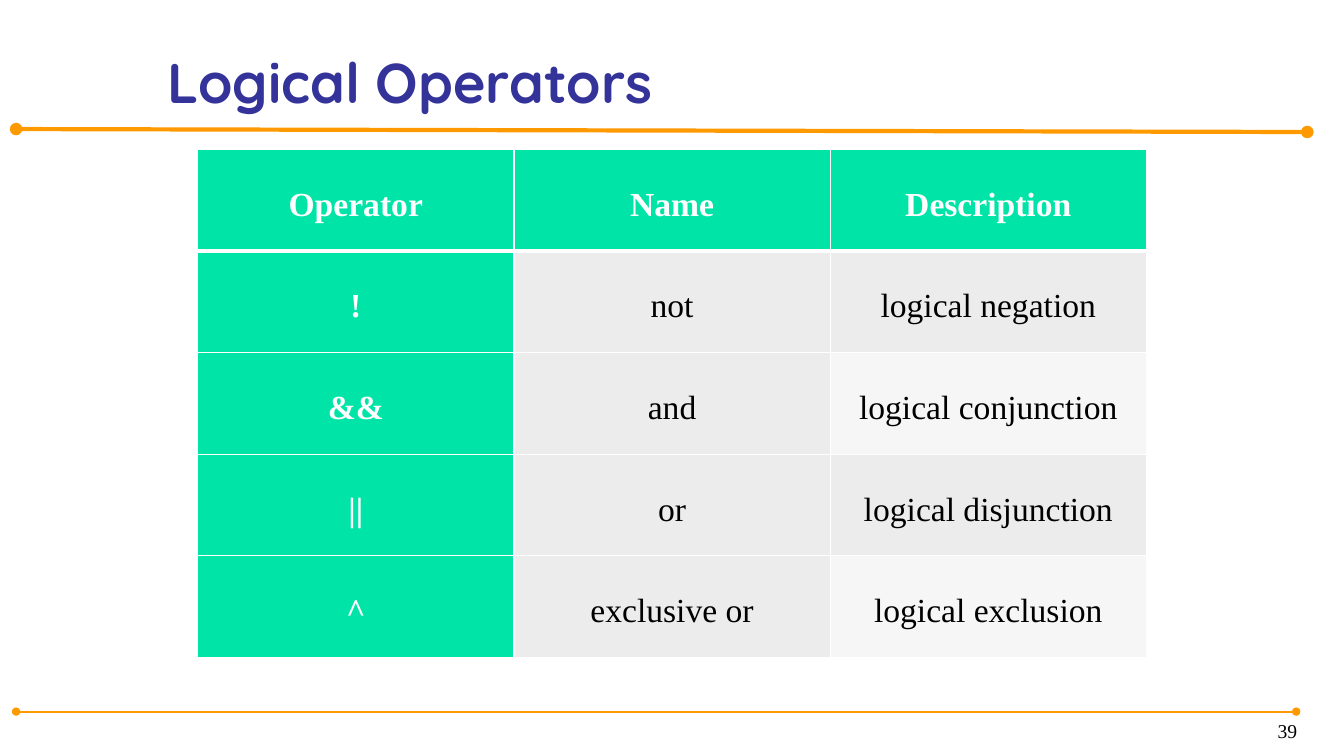
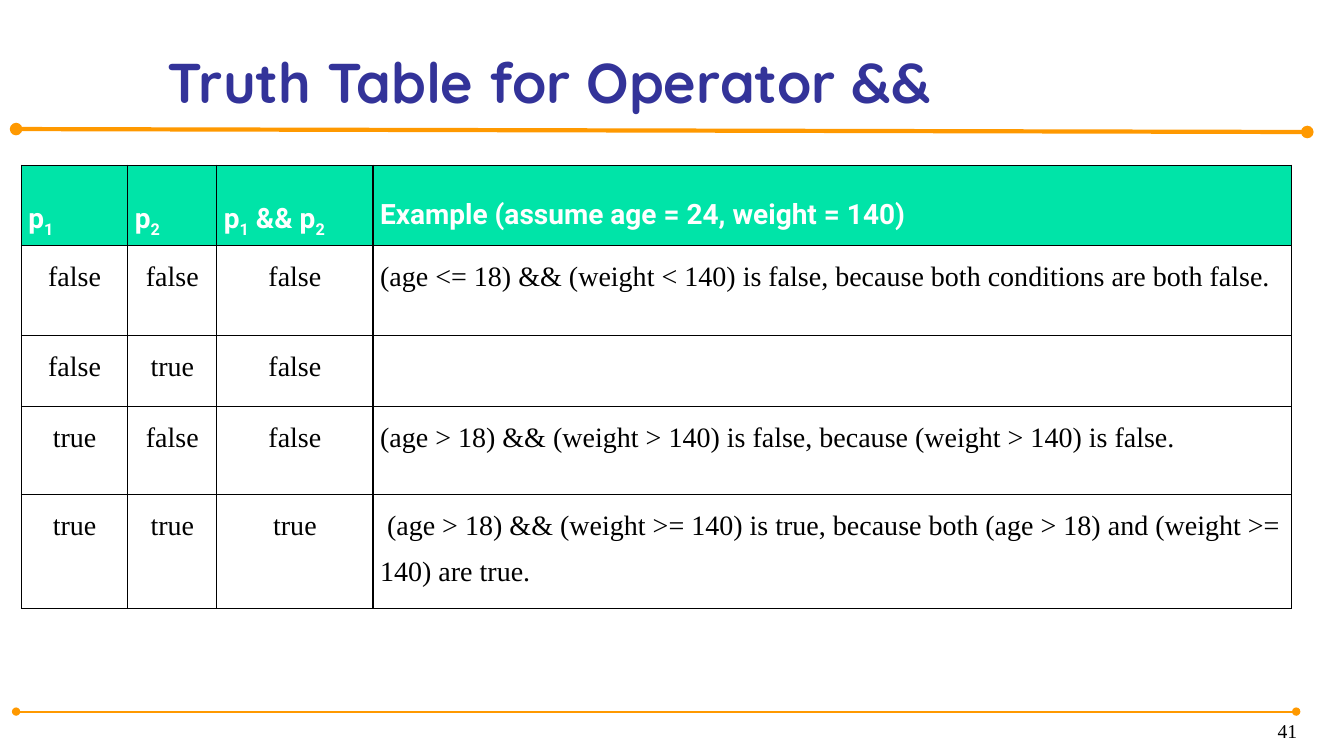
"""Builds two slides on logical operators, each with a title, two rules and a table."""
import dataclasses
import typing

import lxml.etree
import pptx
import pptx.dml.color
import pptx.enum.shapes
import pptx.enum.text
import pptx.oxml.ns
import pptx.util

Pt = pptx.util.Pt
Align = pptx.enum.text.PP_ALIGN
Text = typing.Union[str, typing.Tuple[str, ...]]

ORANGE, INDIGO, GREEN = "FF9900", "333399", "00E4A8"
WHITE, BLACK, GREY, PALE = "FFFFFF", "000000", "ECECEC", "F6F6F6"
TITLE_FONT, HEAD_FONT, SERIF = "Quicksand", "Roboto", "Times New Roman"


@dataclasses.dataclass(frozen=True)
class Style:
    font: str
    size: float
    color: str
    bold: bool = False
    align: Align = Align.LEFT
    spacing: float = 1.0


@dataclasses.dataclass(frozen=True)
class Rule:
    x1: float
    y1: float
    x2: float
    y2: float
    width: float


@dataclasses.dataclass(frozen=True)
class Grid:
    left: float
    top: float
    cols: typing.Sequence[float]
    rows: typing.Sequence[float]
    border: str
    header_line: float


@dataclasses.dataclass(frozen=True)
class Cell:
    text: Text
    style: Style
    fill: str


RULES = (Rule(11.5, 92.2, 933.8, 94.3, 3), Rule(11.5, 508.3, 925.9, 508.3, 1.5))
TITLE = Style(TITLE_FONT, 40, INDIGO, True)
NUMBER = Style(SERIF, 14, BLACK, align=Align.RIGHT)

OPERATOR_HEAD = Style(SERIF, 24, WHITE, True, Align.CENTER, 2)
OPERATOR_BODY = dataclasses.replace(OPERATOR_HEAD, color=BLACK, bold=False)
TRUTH_HEAD = Style(HEAD_FONT, 20, WHITE, True, spacing=2)
TRUTH_EXAMPLE = Style(SERIF, 20, BLACK, spacing=1.5)
TRUTH_VALUE = dataclasses.replace(TRUTH_EXAMPLE, align=Align.CENTER)

OPERATORS = (
    ("Operator", "Name", "Description"),
    ("!", "not", "logical negation"),
    ("&&", "and", "logical conjunction"),
    ("||", "or", "logical disjunction"),
    ("^", "exclusive or", "logical exclusion"),
)
TRUTHS = (
    (("p", "1"), ("p", "2"), ("p", "1", " && p", "2"),
     "Example (assume age = 24, weight = 140)"),
    ("false", "false", "false",
     "(age <= 18) && (weight < 140) is false, because both conditions are both false."),
    ("false", "true", "false", ""),
    ("true", "false", "false",
     "(age > 18) && (weight > 140) is false, because (weight > 140) is false."),
    ("true", "true", "true",
     " (age > 18) && (weight >= 140) is true, because both (age > 18) and (weight >= 140) are true."),
)


def rgb(color: str) -> pptx.dml.color.RGBColor:
    return pptx.dml.color.RGBColor.from_string(color)


def child(parent, tag: str, **attrs: str):
    return lxml.etree.SubElement(parent, pptx.oxml.ns.qn(tag), attrs)


def write(tf, text: Text, style: Style) -> None:
    p = tf.paragraphs[0]
    p.alignment = style.align
    p.line_spacing = style.spacing
    p.font.name = style.font
    p.font.size = Pt(style.size)
    p.font.bold = style.bold
    p.font.color.rgb = rgb(style.color)
    pieces = (text,) if isinstance(text, str) else text
    for i, piece in enumerate(pieces):
        if piece:
            r = p.add_run()
            r.text = piece
            if i % 2:
                r.font._element.set("baseline", "-25000")


def add_text(s, left: float, top: float, width: float, height: float,
             text: str, style: Style) -> None:
    tf = s.shapes.add_textbox(Pt(left), Pt(top), Pt(width), Pt(height)).text_frame
    tf.word_wrap = True
    tf.vertical_anchor = pptx.enum.text.MSO_ANCHOR.BOTTOM
    write(tf, text, style)


def add_rule(s, rule: Rule) -> None:
    sp = s.shapes.add_connector(pptx.enum.shapes.MSO_CONNECTOR.STRAIGHT,
                                Pt(rule.x1), Pt(rule.y1), Pt(rule.x2), Pt(rule.y2))
    sp.line.color.rgb = rgb(ORANGE)
    sp.line.width = Pt(rule.width)
    ln = sp.line._get_or_add_ln()
    for end in ("a:headEnd", "a:tailEnd"):
        child(ln, end, type="oval")
    child(sp._element.spPr, "a:effectLst")


def add_border(cell, color: str, top: float, bottom: float) -> None:
    tc_pr = cell._tc.get_or_add_tcPr()
    for side, width in (("L", 1), ("R", 1), ("T", top), ("B", bottom)):
        ln = child(tc_pr, f"a:ln{side}", w=str(Pt(width)))
        child(child(ln, "a:solidFill"), "a:srgbClr", val=color)


def add_grid(s, grid: Grid, cells: typing.Sequence[typing.Sequence[Cell]]) -> None:
    table = s.shapes.add_table(len(grid.rows), len(grid.cols), Pt(grid.left), Pt(grid.top),
                               Pt(sum(grid.cols)), Pt(sum(grid.rows))).table
    table.horz_banding = False
    for col, width in zip(table.columns, grid.cols):
        col.width = Pt(width)
    for i, (row, height) in enumerate(zip(table.rows, grid.rows)):
        row.height = Pt(height)
        for cell, item in zip(row.cells, cells[i]):
            cell.margin_left = cell.margin_right = Pt(5)
            cell.margin_top = cell.margin_bottom = Pt(0)
            add_border(cell, grid.border, grid.header_line if i == 1 else 1,
                       grid.header_line if i == 0 else 1)
            cell.fill.solid()
            cell.fill.fore_color.rgb = rgb(item.fill)
            write(cell.text_frame, item.text, item.style)


def operator_cell(row: int, col: int, text: Text) -> Cell:
    if row == 0 or col == 0:
        return Cell(text, OPERATOR_HEAD, GREEN)
    return Cell(text, OPERATOR_BODY, PALE if col == 2 and row % 2 == 0 else GREY)


def truth_cell(row: int, col: int, text: Text) -> Cell:
    if row == 0:
        return Cell(text, TRUTH_HEAD, GREEN)
    return Cell(text, TRUTH_EXAMPLE if col == 3 else TRUTH_VALUE, WHITE)


def add_slide(prs, title: str, number: int, grid: Grid,
              texts: typing.Sequence[typing.Sequence[Text]],
              make_cell: typing.Callable[[int, int, Text], Cell]) -> None:
    s = prs.slides.add_slide(prs.slide_layouts[6])
    for rule in RULES:
        add_rule(s, rule)
    add_text(s, 112.3, 4.3, 827.3, 81.4, title, TITLE)
    add_text(s, 733.7, 502.5, 200, 31.7, str(number), NUMBER)
    add_grid(s, grid, [[make_cell(i, j, text) for j, text in enumerate(row)]
                       for i, row in enumerate(texts)])


def main() -> None:
    prs = pptx.Presentation()
    prs.slide_width, prs.slide_height = Pt(960), Pt(540)
    add_slide(prs, "Logical Operators", 39,
              Grid(141.2, 106.6, [225.9] * 3, [72.6] * 5, WHITE, 3),
              OPERATORS, operator_cell)
    add_slide(prs, "Truth Table for Operator &&", 41,
              Grid(15.3, 118, [76, 63.6, 111.6, 656], [57.4, 64.5, 50.6, 62.8, 81.2], BLACK, 1),
              TRUTHS, truth_cell)
    prs.save("out.pptx")


if __name__ == "__main__":
    main()
